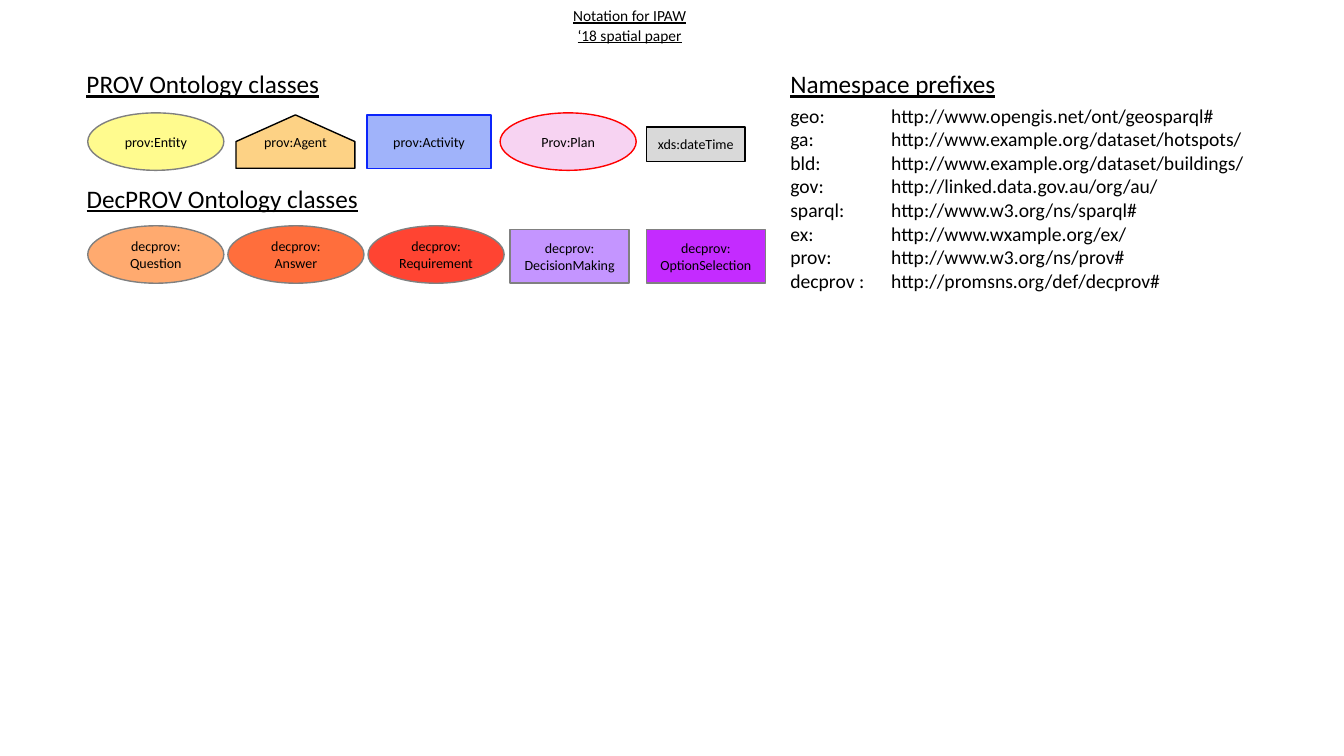
import lxml.etree
import pptx
import pptx.dml.color
import pptx.enum.shapes
import pptx.enum.text
import pptx.oxml.ns
import pptx.util

Inches = pptx.util.Inches
Pt = pptx.util.Pt
ALIGN = pptx.enum.text.PP_ALIGN
ANCHOR = pptx.enum.text.MSO_ANCHOR
AUTO_SIZE = pptx.enum.text.MSO_AUTO_SIZE
OVAL = pptx.enum.shapes.MSO_SHAPE.OVAL
RECTANGLE = pptx.enum.shapes.MSO_SHAPE.RECTANGLE

COLOURS = {
    "black": "000000", "grey": "808080", "blue": "0B24FB", "red": "FF0000",
    "entity": "FFFB8E", "agent": "FDD285", "activity": "A0B3FA",
    "plan": "F7D3F2", "date": "D9D9D9", "question": "FFAA6F",
    "answer": "FF6E3C", "requirement": "FF4432",
    "decision": "C495FF", "option": "C42BFF",
}


class NotationSlide:
    font = "Calibri"
    label_size, list_size, heading_size, title_size = 10, 14, 18, 11

    def __init__(self, presentation):
        self.slide = presentation.slides.add_slide(presentation.slide_layouts[5])
        self.shapes = self.slide.shapes

    def colour(self, name):
        return pptx.dml.color.RGBColor.from_string(COLOURS[name])

    def format_text(self, frame, size, align, underline=None):
        for paragraph in frame.paragraphs:
            paragraph.alignment = align
            for run in paragraph.runs:
                run.font.name = self.font
                run.font.size = Pt(size)
                run.font.underline = underline
                run.font.color.rgb = self.colour("black")

    def title(self, text, left, top, width, height):
        title = self.shapes.title
        title.left, title.top = Inches(left), Inches(top)
        title.width, title.height = Inches(width), Inches(height)
        frame = title.text_frame
        frame.text = text
        frame.word_wrap = False
        frame.auto_size = AUTO_SIZE.NONE
        frame.vertical_anchor = ANCHOR.TOP
        frame.paragraphs[0].line_spacing = 1.06
        frame.paragraphs[0].space_after = Pt(8)
        self.format_text(frame, self.title_size, ALIGN.CENTER, True)

    def text_box(self, text, left, top, width, height):
        box = self.shapes.add_textbox(
            Inches(left), Inches(top), Inches(width), Inches(height))
        frame = box.text_frame
        frame.text = text
        frame.word_wrap = False
        frame.auto_size = AUTO_SIZE.SHAPE_TO_FIT_TEXT
        return frame

    def heading(self, text, left, top, width):
        frame = self.text_box(text, left, top, width, 0.4)
        self.format_text(frame, self.heading_size, ALIGN.LEFT, True)

    def prefix_list(self, prefixes, left, top, width, height):
        lines = "\n".join(f"{prefix}\t{address}" for prefix, address in prefixes)
        frame = self.text_box(lines, left, top, width, height)
        for paragraph in frame.paragraphs:
            properties = paragraph._p.get_or_add_pPr()
            tabs = lxml.etree.SubElement(properties, pptx.oxml.ns.qn("a:tabLst"))
            lxml.etree.SubElement(tabs, pptx.oxml.ns.qn("a:tab"),
                                  pos=str(Inches(1)), algn="l")
        self.format_text(frame, self.list_size, ALIGN.LEFT)

    def style_class(self, node, text, fill, line):
        node.shadow.inherit = False
        node.fill.solid()
        node.fill.fore_color.rgb = self.colour(fill)
        node.line.color.rgb = self.colour(line)
        node.line.width = Pt(1)
        frame = node.text_frame
        frame.text = text
        frame.word_wrap = True
        frame.vertical_anchor = ANCHOR.MIDDLE
        self.format_text(frame, self.label_size, ALIGN.CENTER)

    def box(self, kind, text, fill, line, left, top, width, height):
        node = self.shapes.add_shape(
            kind, Inches(left), Inches(top), Inches(width), Inches(height))
        self.style_class(node, text, fill, line)

    def ellipse(self, text, fill, line, left, top):
        self.box(OVAL, text, fill, line, left, top, 1.35, 0.57)

    def rectangle(self, text, fill, line, left, top, width=1.18, height=0.53):
        self.box(RECTANGLE, text, fill, line, left, top, width, height)

    def house(self, text, fill, line, left, top, width=1.18, height=0.53):
        right, bottom, eaves = left + width, top + height, top + height / 2
        outline = self.shapes.build_freeform(
            Inches(left + width / 2), Inches(top))
        corners = [(right, eaves), (right, bottom), (left, bottom), (left, eaves)]
        outline.add_line_segments([(Inches(x), Inches(y)) for x, y in corners])
        self.style_class(outline.convert_to_shape(), text, fill, line)


def main():
    presentation = pptx.Presentation()
    presentation.slide_width = Inches(13.33)
    presentation.slide_height = Inches(7.5)
    notation = NotationSlide(presentation)
    notation.title("Notation for IPAW ‘18 spatial paper", 5.54, 0, 1.41, 0.28)

    # PROV classes
    notation.heading("PROV Ontology classes", 0.76, 0.63, 2.53)
    notation.ellipse("prov:Entity", "entity", "grey", 0.87, 1.12)
    notation.house("prov:Agent", "agent", "black", 2.34, 1.14)
    notation.rectangle("prov:Activity", "activity", "blue", 3.64, 1.14, 1.23)
    notation.ellipse("Prov:Plan", "plan", "red", 4.96, 1.12)
    notation.rectangle("xds:dateTime", "date", "black", 6.41, 1.26, 0.98, 0.34)

    # DecPROV classes
    notation.heading("DecPROV Ontology classes", 0.76, 1.77, 2.92)
    results = [("decprov:\nQuestion", "question"),
               ("decprov: Answer", "answer"),
               ("decprov: Requirement", "requirement")]
    for column, (text, fill) in enumerate(results):
        notation.ellipse(text, fill, "grey", 0.87 + 1.39 * column, 2.24)
    activities = [("decprov: DecisionMaking", "decision"),
                  ("decprov: OptionSelection", "option")]
    for column, (text, fill) in enumerate(activities):
        notation.rectangle(text, fill, "grey", 5.06 + 1.35 * column, 2.28)

    # Namespace prefixes
    notation.heading("Namespace prefixes", 7.74, 0.63, 2.26)
    notation.prefix_list([
        ("geo:", "http://www.opengis.net/ont/geosparql#"),
        ("ga:", "http://www.example.org/dataset/hotspots/"),
        ("bld:", "http://www.example.org/dataset/buildings/"),
        ("gov:", "http://linked.data.gov.au/org/au/"),
        ("sparql:", "http://www.w3.org/ns/sparql#"),
        ("ex:", "http://www.wxample.org/ex/"),
        ("prov:", "http://www.w3.org/ns/prov#"),
        ("decprov :", "http://promsns.org/def/decprov#"),
    ], 7.74, 0.98, 4.75, 1.99)

    presentation.save("out.pptx")


if __name__ == "__main__":
    main()
